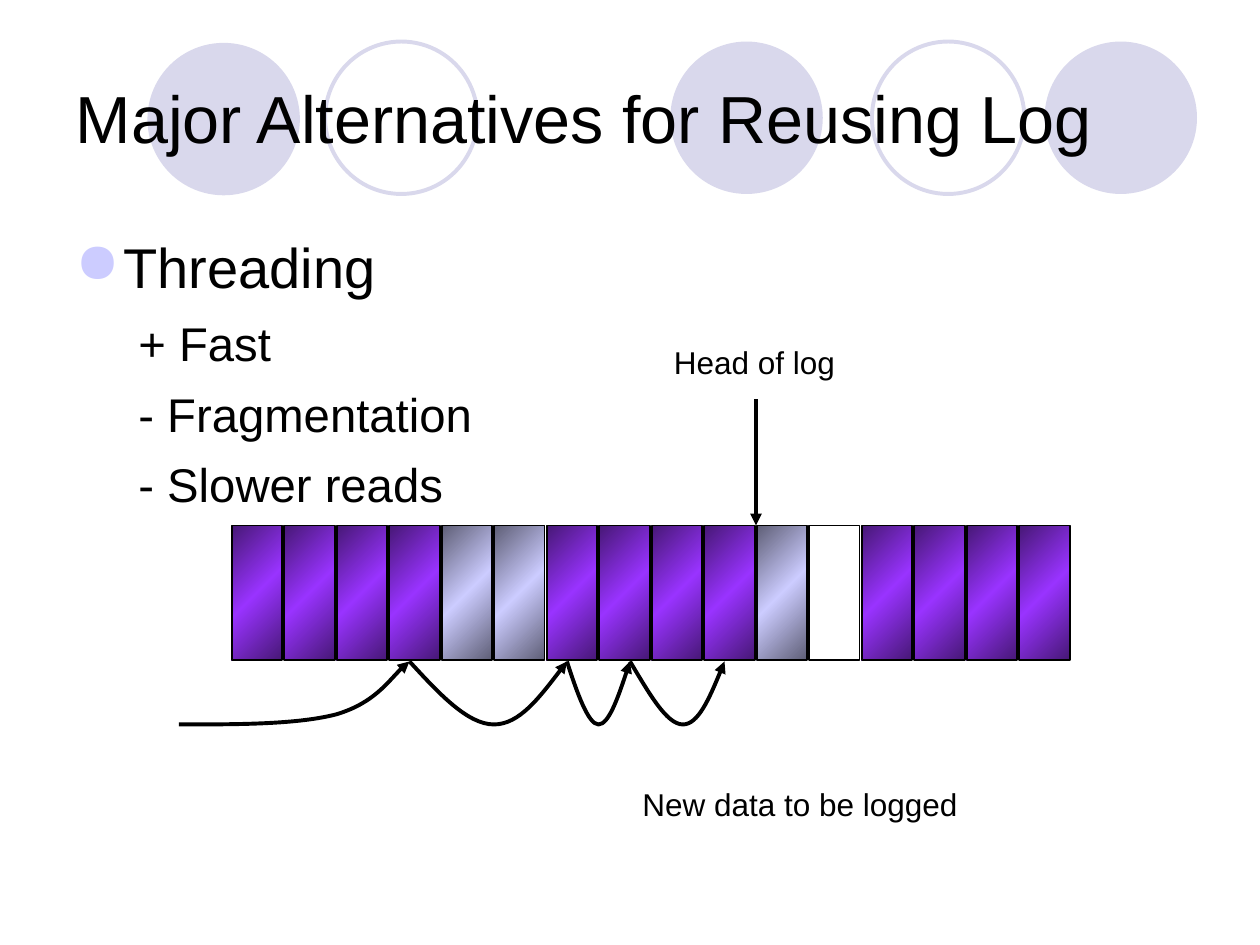
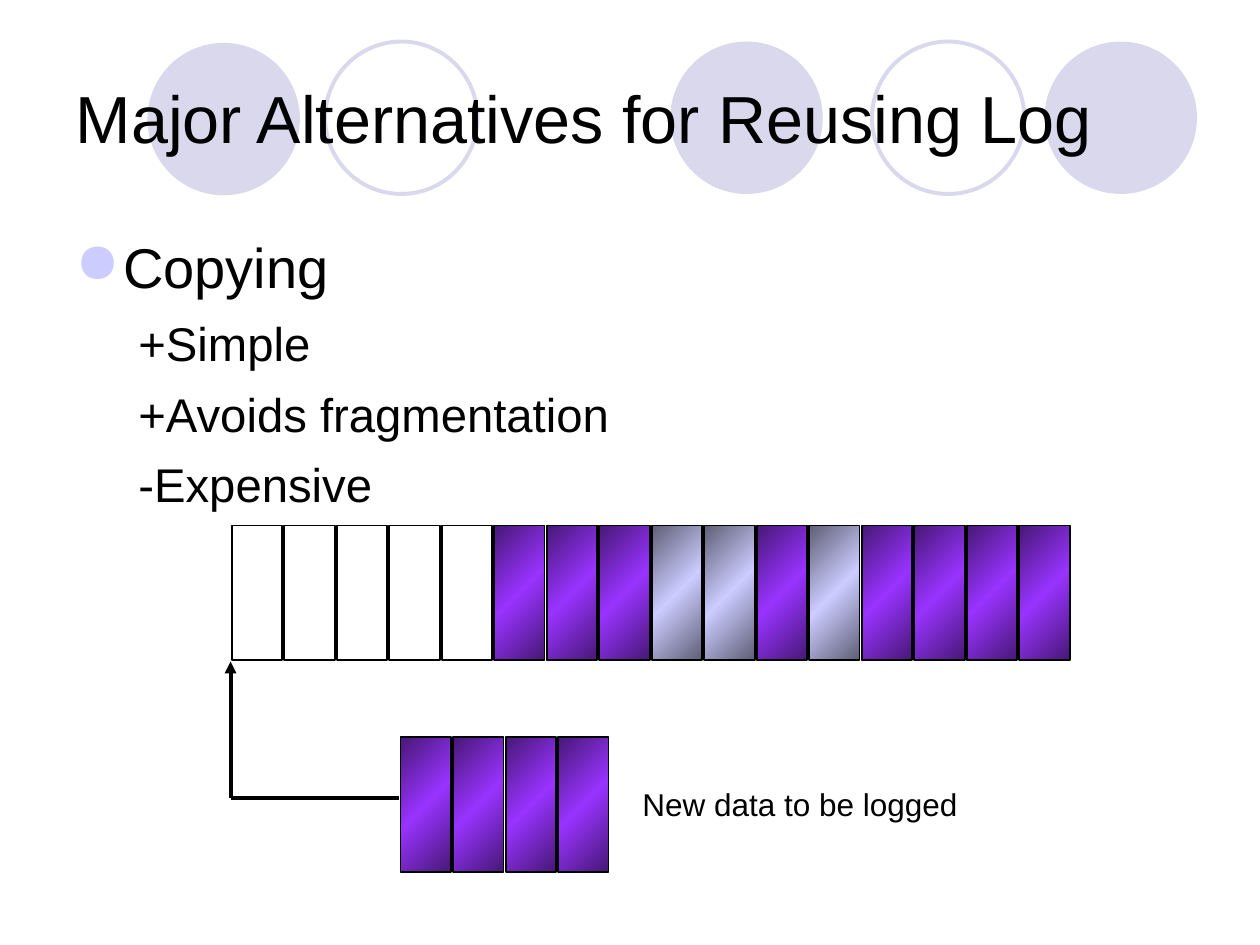
from copy import deepcopy

from lxml.etree import SubElement
from pptx import Presentation
from pptx.dml.color import RGBColor
from pptx.enum.shapes import MSO_CONNECTOR, MSO_SHAPE
from pptx.enum.text import MSO_ANCHOR, MSO_AUTO_SIZE, PP_ALIGN
from pptx.oxml.ns import qn
from pptx.util import Inches, Pt

COLORS = {
    "black": "000000",
    "circle": "D9D8EC",
    "bullet": "CCCCFF",
    "live_edge": "471876",
    "live_middle": "9933FF",
    "dead_edge": "5E5E76",
    "dead_middle": "CCCCFF",
}
RGB = {name: RGBColor.from_string(value) for name, value in COLORS.items()}
FONT = "Arial"
TITLE = "Major Alternatives for Reusing Log"

# left edge, top edge, filled
CIRCLES = [(5.32, 0.33, True), (8.29, 0.33, True), (1.17, 0.34, True),
           (6.92, 0.33, False), (2.58, 0.33, False)]
CIRCLE_SIZE = 1.21

# Log blocks: L live data, D dead data, . free
BLOCK_KINDS = {"L": "live", "D": "dead"}
BLOCK_WIDTH, BLOCK_HEIGHT = 0.4, 1.07
BLOCK_STEP = 5 / 12
LOG_LEFT, LOG_TOP = 1.84, 4.17

# Thread curves: x and y of the start point and of two cubic segments
ARC_Y = [5.25, 5.5, 5.75, 5.75, 5.75, 5.5, 5.25]
THREADS = [
    ([1.42, 1.89, 2.36, 2.67, 2.97, 3.15, 3.25],
     [5.75, 5.75, 5.75, 5.67, 5.58, 5.32, 5.25]),
    ([4.5, 4.58, 4.67, 4.75, 4.83, 4.92, 5], ARC_Y),
    ([5, 5.15, 5.29, 5.42, 5.54, 5.65, 5.75], ARC_Y),
    ([3.25, 3.48, 3.71, 3.92, 4.12, 4.31, 4.5], ARC_Y),
]

NEW_DATA_LABEL = ("New data to be logged", 5, 6.18, 2.7)
SLIDES = [
    {
        "points": ["Threading", "+ Fast", "- Fragmentation", "- Slower reads"],
        "block_rows": [(LOG_LEFT, LOG_TOP, "LLLLDDLLLLD.LLLL")],
        "lines": [(6, 3.17, 6, 4.17, True)],
        "labels": [("Head of log", 5.25, 2.67, 1.48), NEW_DATA_LABEL],
        "threads": THREADS,
    },
    {
        "points": ["Copying", "+Simple", "+Avoids fragmentation", "-Expensive"],
        "block_rows": [(LOG_LEFT, LOG_TOP, ".....LLLDDLDLLLL"),
                       (3.18, 5.85, "LLLL")],
        "lines": [(1.83, 6.33, 1.83, 5.25, True),
                  (1.83, 6.33, 3.17, 6.33, False)],
        "labels": [NEW_DATA_LABEL],
        "threads": [],
    },
]


def style_font(paragraph, size):
    paragraph.font.name = FONT
    paragraph.font.size = Pt(size)
    paragraph.font.color.rgb = RGB["black"]


def style_line(shape, has_arrow):
    """Give a connector or curve a black line, no shadow and maybe an arrowhead."""
    shape.line.color.rgb = RGB["black"]
    shape.line.width = Pt(2.25)
    properties = shape._element.spPr
    if has_arrow:
        SubElement(properties.find(qn("a:ln")), qn("a:tailEnd"), type="triangle")
    SubElement(properties, qn("a:effectLst"))


presentation = Presentation()
presentation.slide_width = Inches(10)
presentation.slide_height = Inches(7.5)

for content in SLIDES:
    slide = presentation.slides.add_slide(presentation.slide_layouts[5])
    shapes = slide.shapes

    for left, top, filled in CIRCLES:
        circle = shapes.add_shape(MSO_SHAPE.OVAL, Inches(left), Inches(top),
                                  Inches(CIRCLE_SIZE), Inches(CIRCLE_SIZE))
        circle.shadow.inherit = False
        if filled:
            circle.fill.solid()
            circle.fill.fore_color.rgb = RGB["circle"]
            circle.line.fill.background()
        else:
            circle.fill.background()
            circle.line.color.rgb = RGB["circle"]
            circle.line.width = Pt(2.25)

    # The title stands in front of the circles
    title = shapes.title
    shapes._spTree.append(title._element)
    title.left, title.top = Inches(0.5), Inches(0.3)
    title.width, title.height = Inches(9), Inches(1.25)
    title.text_frame.text = TITLE
    title.text_frame.auto_size = MSO_AUTO_SIZE.NONE
    title.text_frame.vertical_anchor = MSO_ANCHOR.MIDDLE
    title_paragraph = title.text_frame.paragraphs[0]
    title_paragraph.alignment = PP_ALIGN.LEFT
    style_font(title_paragraph, 38)

    body = shapes.add_textbox(Inches(0.5), Inches(1.8), Inches(9), Inches(4.9))
    body.text_frame.word_wrap = True
    body.text_frame.text = "\n".join(content["points"])
    for index, paragraph in enumerate(body.text_frame.paragraphs):
        properties = paragraph._p.get_or_add_pPr()
        if index == 0:
            margin, indent, size = 0.38, -0.38, 32
            bullet_color = SubElement(properties, qn("a:buClr"))
            SubElement(bullet_color, qn("a:srgbClr"), val=COLORS["bullet"])
            SubElement(properties, qn("a:buChar"), char="●")
        else:
            margin, indent, size = 0.81, -0.31, 27
            paragraph.level = 1
            paragraph.space_before = Pt(8)
        properties.set("marL", str(Inches(margin)))
        properties.set("indent", str(Inches(indent)))
        style_font(paragraph, size)

    for row_left, row_top, codes in content["block_rows"]:
        for index, code in enumerate(codes):
            block = shapes.add_shape(
                MSO_SHAPE.RECTANGLE, Inches(row_left + index * BLOCK_STEP),
                Inches(row_top), Inches(BLOCK_WIDTH), Inches(BLOCK_HEIGHT))
            block.shadow.inherit = False
            block.line.color.rgb = RGB["black"]
            block.line.width = Pt(1)
            if code not in BLOCK_KINDS:
                block.fill.background()
                continue
            kind = BLOCK_KINDS[code]
            block.fill.gradient()
            block.fill.gradient_angle = 315
            stop_list = block._element.spPr.find(".//" + qn("a:gsLst"))
            stop_list.insert(1, deepcopy(stop_list[0]))
            for stop, position, part in zip(block.fill.gradient_stops, (0, 0.5, 1),
                                            ("edge", "middle", "edge")):
                stop.position = position
                stop.color.rgb = RGB[f"{kind}_{part}"]

    for start_x, start_y, end_x, end_y, has_arrow in content["lines"]:
        connector = shapes.add_connector(
            MSO_CONNECTOR.STRAIGHT, Inches(start_x), Inches(start_y),
            Inches(end_x), Inches(end_y))
        style_line(connector, has_arrow)

    for text, left, top, width in content["labels"]:
        label = shapes.add_textbox(Inches(left), Inches(top), Inches(width), Inches(0.4))
        label.text_frame.word_wrap = False
        label.text_frame.text = text
        style_font(label.text_frame.paragraphs[0], 18)

    for x_values, y_values in content["threads"]:
        points = [(Inches(x), Inches(y)) for x, y in zip(x_values, y_values)]
        builder = shapes.build_freeform(*points[0])
        builder.add_line_segments(points[1:], close=False)
        thread = builder.convert_to_shape()
        thread.fill.background()
        style_line(thread, True)
        # Every three line points become the control points of one curve
        path = thread._element.spPr.find(".//" + qn("a:path"))
        segments = path.findall(qn("a:lnTo"))
        for first in range(0, len(segments), 3):
            curve = SubElement(path, qn("a:cubicBezTo"))
            for segment in segments[first:first + 3]:
                curve.append(segment[0])
                path.remove(segment)

presentation.save("out.pptx")
